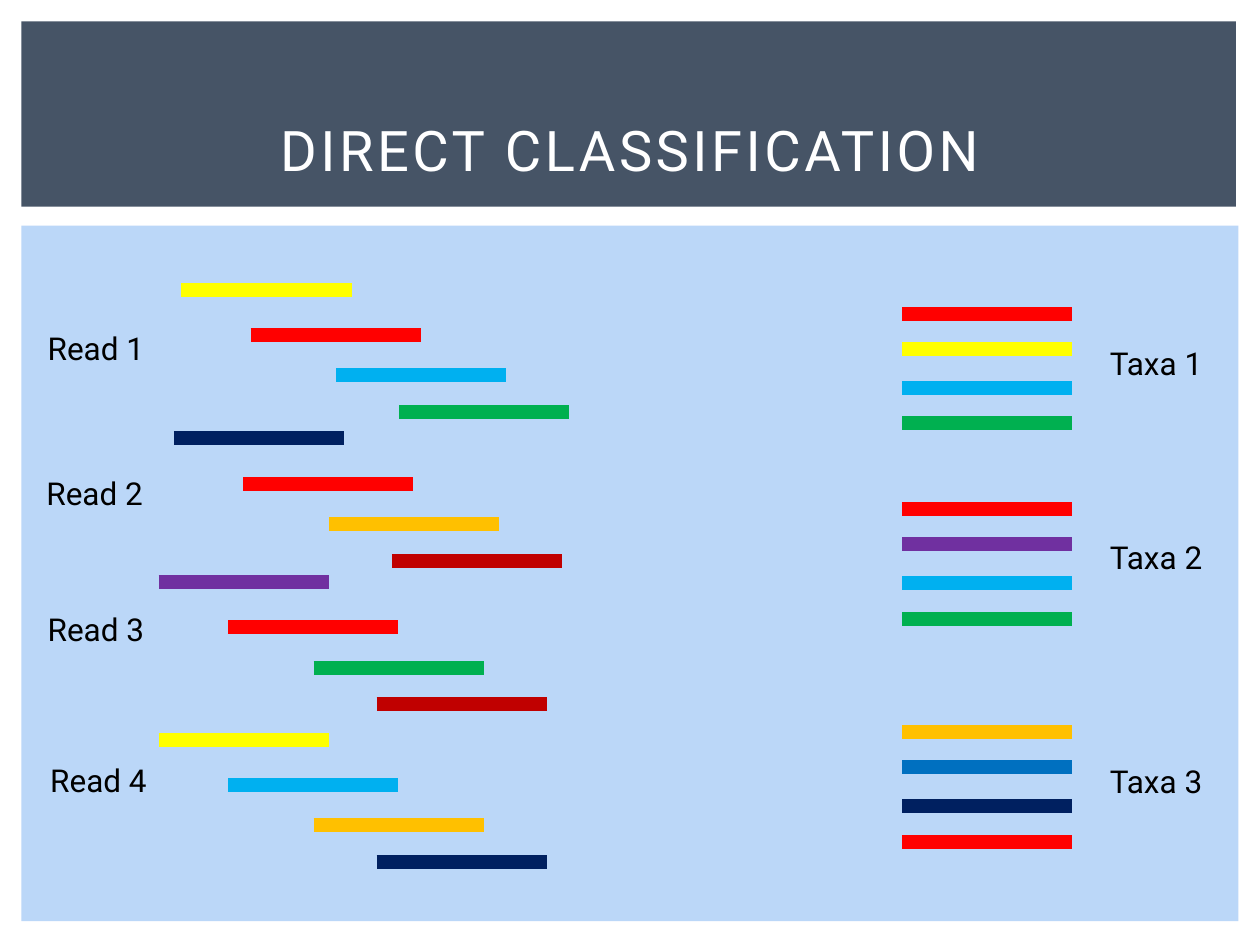
from dataclasses import dataclass

from lxml import etree
from pptx import Presentation
from pptx.dml.color import RGBColor
from pptx.enum.shapes import MSO_CONNECTOR, MSO_SHAPE
from pptx.enum.text import MSO_ANCHOR, MSO_AUTO_SIZE, PP_ALIGN
from pptx.oxml.ns import qn
from pptx.util import Inches, Pt

RECT = MSO_SHAPE.RECTANGLE
STRAIGHT = MSO_CONNECTOR.STRAIGHT
BOTTOM = MSO_ANCHOR.BOTTOM
GROW = MSO_AUTO_SIZE.SHAPE_TO_FIT_TEXT
CENTER = PP_ALIGN.CENTER

FONT = "Roboto"
COLORS = {
    "panel": "BBD7F8",
    "banner": "465466",
    "white": "FFFFFF",
    "black": "000000",
    "yellow": "FFFF00",
    "red": "FF0000",
    "sky": "00B0F0",
    "blue": "0070C0",
    "green": "00B050",
    "navy": "002060",
    "orange": "FFC000",
    "crimson": "C00000",
    "purple": "7030A0",
}

BAR_LENGTH = 1.35
BAR_WEIGHT = 8
# Offset of each bar from the first bar of its group
READ_STEPS = [(0, 0), (0.55, 0.36), (1.23, 0.68), (1.73, 0.97)]
TAXA_STEPS = [(0, 0), (0, 0.28), (0, 0.59), (0, 0.87)]
TAXA_LEFT = 7.16
TAXA_LABEL_LEFT = 8.71


@dataclass
class BarGroup:
    label: str
    label_left: float
    label_top: float
    left: float
    top: float
    bars: list[str]


READS = [
    BarGroup("Read 1", 0.28, 2.56, 1.44, 2.3, ["yellow", "red", "sky", "green"]),
    BarGroup("Read 2", 0.27, 3.71, 1.38, 3.48, ["navy", "red", "orange", "crimson"]),
    BarGroup("Read 3", 0.28, 4.79, 1.26, 4.62, ["purple", "red", "green", "crimson"]),
    BarGroup("Read 4", 0.3, 5.99, 1.26, 5.87, ["yellow", "sky", "orange", "navy"]),
]
TAXA = [
    BarGroup("Taxa 1", TAXA_LABEL_LEFT, 2.68, TAXA_LEFT, 2.49,
             ["red", "yellow", "sky", "green"]),
    BarGroup("Taxa 2", TAXA_LABEL_LEFT, 4.22, TAXA_LEFT, 4.04,
             ["red", "purple", "sky", "green"]),
    BarGroup("Taxa 3", TAXA_LABEL_LEFT, 6, TAXA_LEFT, 5.81,
             ["orange", "blue", "navy", "red"]),
]


def rgb(name: str) -> RGBColor:
    return RGBColor.from_string(COLORS[name])


def add_block(s, left: float, top: float, width: float, height: float, color: str) -> None:
    sp = s.shapes.add_shape(RECT, Inches(left), Inches(top), Inches(width), Inches(height))
    sp.shadow.inherit = False
    sp.fill.solid()
    sp.fill.fore_color.rgb = rgb(color)
    sp.line.fill.background()


def add_text(s, text: str, left: float, top: float, width: float, height: float,
             size: float, color: str):
    sp = s.shapes.add_textbox(Inches(left), Inches(top), Inches(width), Inches(height))
    tf = sp.text_frame
    tf.word_wrap = True
    tf.text = text
    r = tf.paragraphs[0].runs[0]
    r.font.name = FONT
    r.font.size = Pt(size)
    r.font.color.rgb = rgb(color)
    return tf


def add_title(s, text: str) -> None:
    tf = add_text(s, text, 0.5, 0.3, 9, 1.25, 32, "white")
    tf.vertical_anchor = BOTTOM
    tf.margin_left = tf.margin_right = tf.margin_top = tf.margin_bottom = Inches(0.1)
    p = tf.paragraphs[0]
    p.alignment = CENTER
    p.runs[0].font._element.set("spc", "200")


def add_bar(s, left: float, top: float, color: str) -> None:
    bar = s.shapes.add_connector(STRAIGHT, Inches(left), Inches(top),
                                 Inches(left + BAR_LENGTH), Inches(top))
    bar.line.color.rgb = rgb(color)
    bar.line.width = Pt(BAR_WEIGHT)
    etree.SubElement(bar._element.spPr, qn("a:effectLst"))


def add_group(s, group: BarGroup, steps: list[tuple[float, float]], label_width: float) -> None:
    """Draw the bars of one read or taxon, and its label."""
    for color, (dx, dy) in zip(group.bars, steps):
        add_bar(s, group.left + dx, group.top + dy, color)
    tf = add_text(s, group.label, group.label_left, group.label_top, label_width, 0.4,
                  18, "black")
    tf.auto_size = GROW


def main() -> None:
    prs = Presentation()
    prs.slide_width, prs.slide_height = Inches(10), Inches(7.5)
    s = prs.slides.add_slide(prs.slide_layouts[6])
    add_block(s, 0.17, 1.79, 9.66, 5.52, "panel")
    add_block(s, 0.17, 0.17, 9.64, 1.47, "banner")
    add_title(s, "DIRECT CLASSIFICATION")
    for read in READS:
        add_group(s, read, READ_STEPS, 1.16)
    for taxon in TAXA:
        add_group(s, taxon, TAXA_STEPS, 0.98)
    prs.save("out.pptx")


if __name__ == "__main__":
    main()
